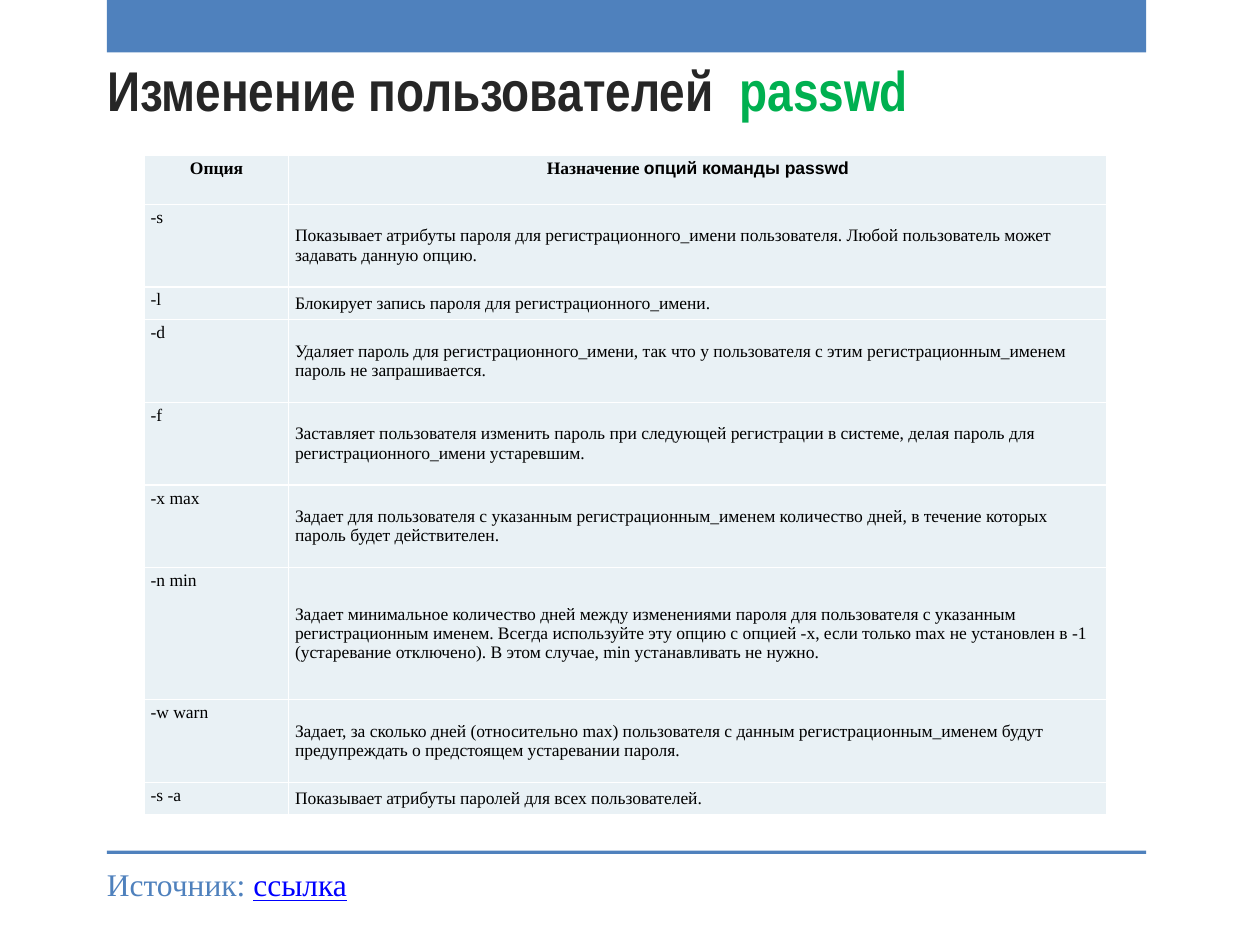
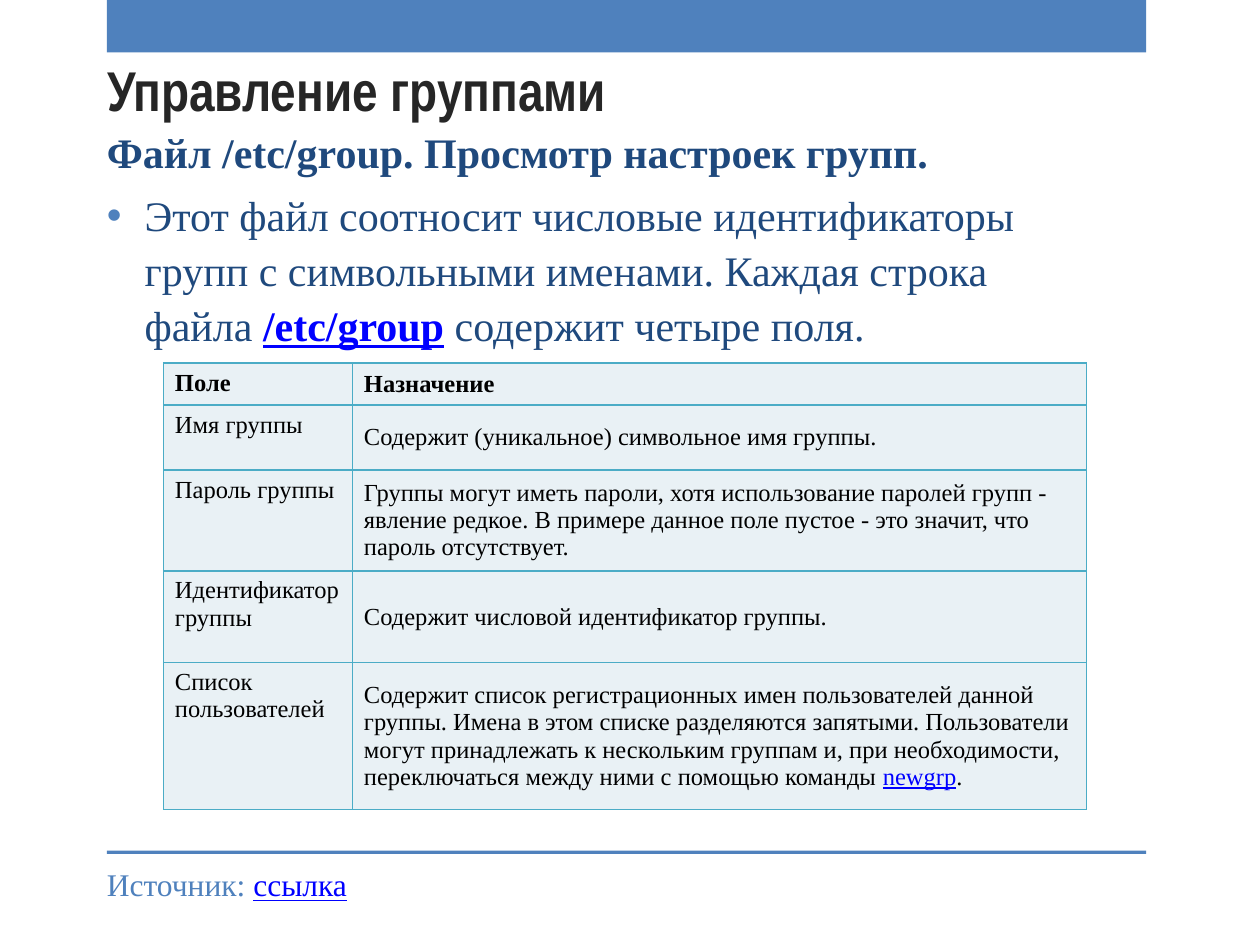
"""Build two slides about managing users and groups."""
import pptx
import pptx.dml.color
import pptx.enum.shapes
import pptx.enum.text
import pptx.oxml
import pptx.oxml.ns
import pptx.util

Pt = pptx.util.Pt
RGBColor = pptx.dml.color.RGBColor
ALIGN = pptx.enum.text.PP_ALIGN
ANCHOR = pptx.enum.text.MSO_ANCHOR

BLUE = RGBColor(0x4F, 0x81, 0xBD)
NAVY = RGBColor(0x1F, 0x49, 0x7D)
LINK = RGBColor(0x00, 0x00, 0xFF)
GREEN = RGBColor(0x00, 0xB0, 0x50)
CHARCOAL = RGBColor(0x26, 0x26, 0x26)
BLACK = RGBColor(0x00, 0x00, 0x00)
WHITE = RGBColor(0xFF, 0xFF, 0xFF)
TEAL = RGBColor(0x4B, 0xAC, 0xC6)
PALE = RGBColor(0xE9, 0xF1, 0xF5)

SERIF = "Times New Roman"
LINKED = {"color": LINK, "underline": True}

PASSWD_ROWS = [
    ("Опция", ["Назначение ", ("опций команды passwd", {"name": "Arial"})]),
    ("-s", "Показывает атрибуты пароля для регистрационного_имени пользователя. "
           "Любой пользователь может задавать данную опцию."),
    ("-l", "Блокирует запись пароля для регистрационного_имени."),
    ("-d", "Удаляет пароль для регистрационного_имени, так что у пользователя с этим "
           "регистрационным_именем пароль не запрашивается."),
    ("-f", "Заставляет пользователя изменить пароль при следующей регистрации в системе, "
           "делая пароль для регистрационного_имени устаревшим."),
    ("-x max", "Задает для пользователя с указанным регистрационным_именем количество дней, "
               "в течение которых пароль будет действителен."),
    ("-n min", "Задает минимальное количество дней между изменениями пароля для пользователя "
               "с указанным регистрационным именем. Всегда используйте эту опцию с опцией -x, "
               "если только max не установлен в -1 (устаревание отключено). В этом случае, "
               "min устанавливать не нужно."),
    ("-w warn", "Задает, за сколько дней (относительно max) пользователя с данным "
                "регистрационным_именем будут предупреждать о предстоящем устаревании пароля."),
    ("-s -a", "Показывает атрибуты паролей для всех пользователей."),
]

GROUP_ROWS = [
    ("Поле", "Назначение"),
    ("Имя группы", "Содержит (уникальное) символьное имя группы."),
    ("Пароль группы", "Группы могут иметь пароли, хотя использование паролей групп - явление "
                      "редкое. В примере данное поле пустое - это значит, что пароль отсутствует."),
    ("Идентификатор группы", "Содержит числовой идентификатор группы."),
    ("Список пользователей", [
        "Содержит список регистрационных имен пользователей данной группы. Имена в этом списке "
        "разделяются запятыми. Пользователи могут принадлежать к нескольким группам и, при "
        "необходимости, переключаться между ними с помощью команды ",
        ("newgrp", LINKED), "."]),
]


def write_run(paragraph, text, name=SERIF, size=18, color=BLACK, bold=False, underline=False):
    """Append one formatted run to a paragraph."""
    run = paragraph.add_run()
    run.text = text
    run.font.name = name
    run.font.size = Pt(size)
    run.font.color.rgb = color
    run.font.bold = bold
    run.font.underline = underline


def write_runs(paragraph, content, **base):
    """Write a string, or a list of strings and (text, changes) pairs."""
    for piece in [content] if isinstance(content, str) else content:
        text, changes = (piece, {}) if isinstance(piece, str) else piece
        write_run(paragraph, text, **{**base, **changes})


class Deck:
    """Hold the shared style and the current slide."""

    def __init__(self):
        """Start an empty presentation of 720 by 540 points."""
        self.presentation = pptx.Presentation()
        self.presentation.slide_width = Pt(720)
        self.presentation.slide_height = Pt(540)
        self.slide = None

    def add_slide(self, title):
        """Add a slide with its title, bands and source line."""
        self.slide = self.presentation.slides.add_slide(self.presentation.slide_layouts[5])
        self.add_band(0, 30)
        self.add_band(486, 2)
        self.add_title(title)
        frame = self.add_text_box(54, 491, 153.5, 29, wrap=False)
        write_runs(frame.paragraphs[0], ["Источник: ", ("ссылка", LINKED)], color=BLUE)

    def add_band(self, top, height):
        """Add a blue band across the content width."""
        shape = self.slide.shapes.add_shape(
            pptx.enum.shapes.MSO_SHAPE.RECTANGLE, Pt(61), Pt(top), Pt(594), Pt(height))
        shape.shadow.inherit = False
        shape.fill.solid()
        shape.fill.fore_color.rgb = BLUE
        shape.line.fill.background()

    def add_title(self, content):
        """Place and format the title placeholder."""
        title = self.slide.shapes.title
        title.left, title.top, title.width, title.height = Pt(54), Pt(21), Pt(601), Pt(52.5)
        frame = title.text_frame
        frame.auto_size = pptx.enum.text.MSO_AUTO_SIZE.NONE
        frame.vertical_anchor = ANCHOR.BOTTOM
        paragraph = frame.paragraphs[0]
        paragraph.alignment = ALIGN.LEFT
        write_runs(paragraph, content, name="Arial Narrow", size=32, color=CHARCOAL, bold=True)

    def add_text_box(self, left, top, width, height, wrap=True):
        """Add a text box and return its text frame."""
        shape = self.slide.shapes.add_textbox(Pt(left), Pt(top), Pt(width), Pt(height))
        shape.text_frame.word_wrap = wrap
        return shape.text_frame

    def add_body(self, heading, bullet):
        """Add a bold heading followed by one bulleted paragraph."""
        frame = self.add_text_box(54, 66.25, 595.5, 414)
        for paragraph, content, bold in ((frame.paragraphs[0], heading, True),
                                         (frame.add_paragraph(), bullet, False)):
            paragraph.space_before = Pt(4.8)
            paragraph.line_spacing = 1.09
            write_runs(paragraph, content, size=24, color=NAVY, bold=bold)
        self.add_bullet(frame.paragraphs[1])

    def add_bullet(self, paragraph):
        """Give a paragraph a hanging blue bullet."""
        properties = paragraph._p.get_or_add_pPr()
        properties.set("marL", str(Pt(21.6)))
        properties.set("indent", str(-Pt(21.6)))
        namespace = pptx.oxml.ns.nsdecls("a")
        for markup in (f'<a:buClr {namespace}><a:srgbClr val="{BLUE}"/></a:buClr>',
                       f'<a:buFont {namespace} typeface="Arial"/>',
                       f'<a:buChar {namespace} char="•"/>'):
            properties.append(pptx.oxml.parse_xml(markup))

    def add_table(self, rows, left, top, widths, heights, size, margins, border, header_format):
        """Add a two-column table with a bold header row."""
        shape = self.slide.shapes.add_table(
            len(rows), len(widths), Pt(left), Pt(top), Pt(sum(widths)), Pt(sum(heights)))
        table = shape.table
        table.first_row = table.horz_banding = False
        for column, width in zip(table.columns, widths):
            column.width = Pt(width)
        for row_index, (row, height) in enumerate(zip(rows, heights)):
            table.rows[row_index].height = Pt(height)
            for column_index, content in enumerate(row):
                cell = table.cell(row_index, column_index)
                cell.margin_left = cell.margin_right = Pt(margins[0])
                cell.margin_top = cell.margin_bottom = Pt(margins[1])
                cell.vertical_anchor = ANCHOR.MIDDLE if column_index else ANCHOR.TOP
                paragraph = cell.text_frame.paragraphs[0]
                if row_index == 0:
                    paragraph.alignment = header_format["alignment"]
                    if column_index:
                        cell.vertical_anchor = header_format["anchor"]
                write_runs(paragraph, content, size=size, bold=row_index == 0)
                cell.fill.solid()
                cell.fill.fore_color.rgb = PALE
                self.add_borders(cell, border)

    def add_borders(self, cell, color):
        """Draw a one-point border on every side of a cell."""
        properties = cell._tc.get_or_add_tcPr()
        for index, side in enumerate("LRTB"):
            properties.insert(index, pptx.oxml.parse_xml(
                f'<a:ln{side} {pptx.oxml.ns.nsdecls("a")} w="{Pt(1)}"><a:solidFill>'
                f'<a:srgbClr val="{color}"/></a:solidFill></a:ln{side}>'))


def main():
    """Build and save both slides."""
    deck = Deck()
    deck.add_slide(["Изменение пользователей  ", ("passwd", {"color": GREEN})])
    short, medium, tall = 18.75, 47.25, 75.5
    deck.add_table(PASSWD_ROWS, 82.5, 88.75, (82.5, 467.5),
                   (28, medium, short, medium, medium, medium, tall, medium, short),
                   size=10, margins=(3.6, 2), border=WHITE,
                   header_format={"alignment": ALIGN.CENTER, "anchor": ANCHOR.TOP})

    deck.add_slide("Управление группами")
    deck.add_body("Файл /etc/group. Просмотр настроек групп.", [
        "Этот файл соотносит числовые идентификаторы групп с символьными именами. "
        "Каждая строка файла ", ("/etc/group", {**LINKED, "bold": True}),
        " содержит четыре поля."])
    deck.add_table(GROUP_ROWS, 93.5, 207.5, (108, 419.5), (23.25, 37, 57, 52.5, 84),
                   size=14, margins=(6.5, 3.6), border=TEAL,
                   header_format={"alignment": ALIGN.LEFT, "anchor": ANCHOR.MIDDLE})
    deck.presentation.save("out.pptx")


if __name__ == "__main__":
    main()
